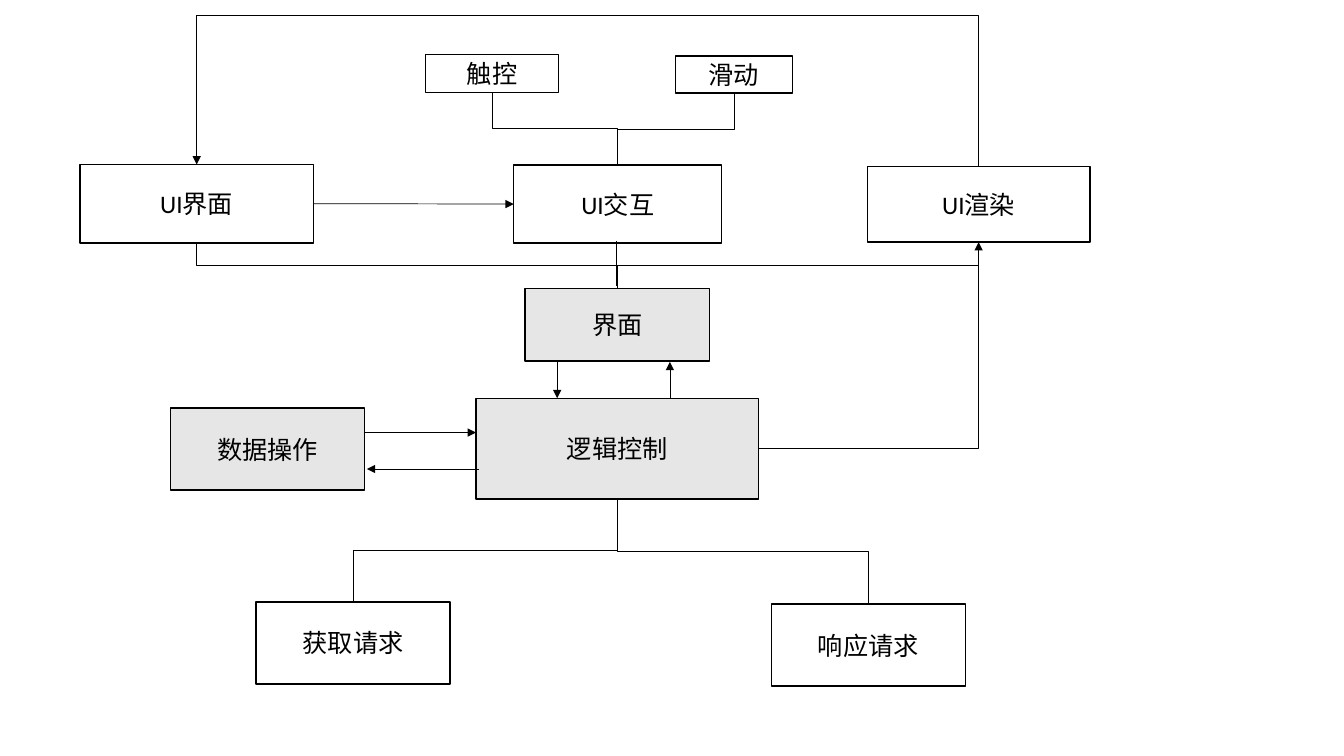
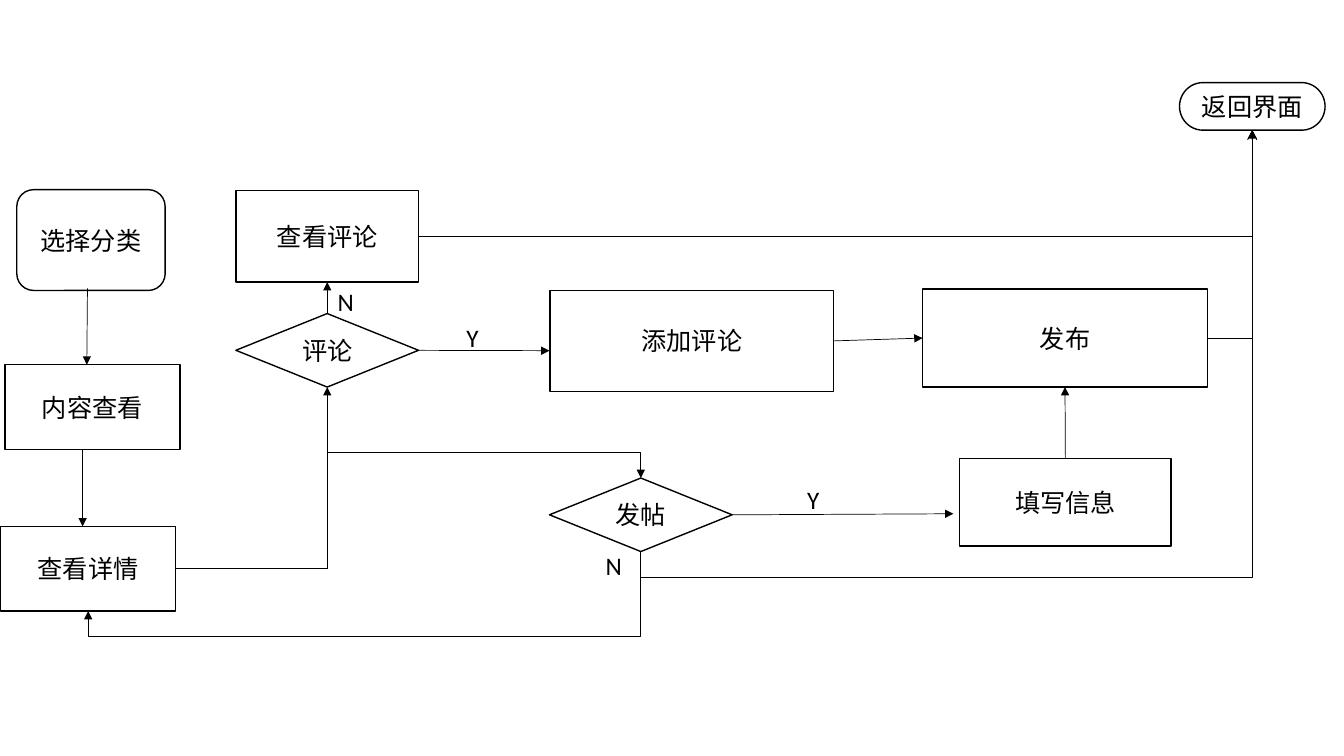
import lxml.etree
import pptx
import pptx.dml.color
import pptx.enum.shapes
import pptx.enum.text
import pptx.oxml.ns
import pptx.util

Pt = pptx.util.Pt
qn = pptx.oxml.ns.qn
SHAPES = pptx.enum.shapes.MSO_SHAPE
CONNECTORS = pptx.enum.shapes.MSO_CONNECTOR
ALIGN = pptx.enum.text.PP_ALIGN
BLACK, WHITE, GRAY = "000000", "FFFFFF", "E7E6E6"
TOP, LEFT, BOTTOM, RIGHT = range(4)
RECT = SHAPES.RECTANGLE
DECISION = SHAPES.FLOWCHART_DECISION
FONT, FONT_SIZE = "Calibri", 18
MIDWAY = "midway"


def color(value):
    return pptx.dml.color.RGBColor.from_string(value)


def write_text(shape, text, alignment):
    shape.text_frame.text = text
    paragraph = shape.text_frame.paragraphs[0]
    paragraph.alignment = alignment
    font = paragraph.runs[0].font
    font.name, font.size = FONT, Pt(FONT_SIZE)
    font.color.rgb = color(BLACK)


architecture = {
    "nodes": [
        ("UI界面", RECT, WHITE, 57, 117.5, 167, 56),
        ("UI交互", RECT, WHITE, 367, 118, 148.5, 55.5),
        ("UI渲染", RECT, WHITE, 619.5, 119, 159, 54),
        ("触控", RECT, WHITE, 304, 39, 95, 27),
        ("滑动", RECT, WHITE, 482.5, 40, 83.5, 26.5),
        ("界面", RECT, GRAY, 375, 206, 132, 52),
        ("逻辑控制", RECT, GRAY, 340, 284.5, 202, 72),
        ("数据操作", RECT, GRAY, 122, 291.5, 138.5, 58.5),
        ("获取请求", RECT, WHITE, 183, 430, 138.5, 58.5),
        ("响应请求", RECT, WHITE, 551, 431.5, 138.5, 58.5),
    ],
    "straights": [
        (("UI界面", RIGHT), ("UI交互", LEFT), "triangle"),
        ((398, 258.5), (398, 284.5), "triangle"),
        ((478.5, 284.5), (478.5, 258.5), "triangle"),
        ((260, 309), (340, 309), "triangle"),
        ((342, 335), (262, 335), "triangle"),
        ((440.5, 204), (440.5, 172), None),
    ],
    "elbows": [
        (("UI渲染", TOP), ("UI界面", TOP), (11,), "triangle"),
        (("逻辑控制", RIGHT), ("UI渲染", BOTTOM), (), "triangle"),
        (("逻辑控制", BOTTOM), ("响应请求", TOP), (MIDWAY,), None),
        (("逻辑控制", BOTTOM), ("获取请求", TOP), (MIDWAY,), None),
        (("触控", BOTTOM), ("UI交互", TOP), (MIDWAY,), None),
        (("滑动", BOTTOM), ("UI交互", TOP), (MIDWAY,), None),
        (("UI界面", BOTTOM), ("界面", TOP), (MIDWAY,), None),
        (("UI渲染", BOTTOM), ("界面", TOP), (MIDWAY,), None),
    ],
    "labels": [],
}

posting = {
    "nodes": [
        ("选择分类", SHAPES.FLOWCHART_ALTERNATE_PROCESS, None, 12, 135.5, 106, 72),
        ("内容查看", RECT, WHITE, 3.5, 260.5, 125, 60.5),
        ("查看详情", RECT, WHITE, 0.5, 376, 125, 60.5),
        ("查看评论", RECT, WHITE, 168.5, 136, 130.5, 65.5),
        ("评论", DECISION, None, 168.5, 224, 130.5, 52.5),
        ("添加评论", RECT, WHITE, 393, 207.5, 202.5, 72),
        ("发布", RECT, WHITE, 659, 206.5, 203.5, 70),
        ("发帖", DECISION, None, 392.5, 341.5, 130.5, 52.5),
        ("填写信息", RECT, WHITE, 685.5, 327.5, 151, 62.5),
        ("返回界面", SHAPES.FLOWCHART_TERMINATOR, None, 842.5, 59, 104, 34),
    ],
    "straights": [
        ((62.5, 206), (62, 260.5), "triangle"),
        ((59, 321), (59, 376), "triangle"),
        (("评论", TOP), ("查看评论", BOTTOM), "triangle"),
        (("评论", RIGHT), (392.5, 250.5), "triangle"),
        (("添加评论", RIGHT), ("发布", LEFT), "triangle"),
        (("发帖", RIGHT), (681, 367), "triangle"),
        (("填写信息", TOP), ("发布", BOTTOM), "triangle"),
    ],
    "elbows": [
        (("发布", RIGHT), ("返回界面", BOTTOM), (), "arrow"),
        (("查看评论", RIGHT), ("返回界面", BOTTOM), (), "arrow"),
        (("查看详情", RIGHT), ("评论", BOTTOM), (), "triangle"),
        (("查看详情", RIGHT), ("发帖", TOP), (234, 323.5), "triangle"),
        (("发帖", BOTTOM), ("返回界面", BOTTOM), (412,), "triangle"),
        (("发帖", BOTTOM), ("查看详情", BOTTOM), (454.5,), "triangle"),
    ],
    "labels": [
        ("Y", 326, 227, 68.5),
        ("N", 234, 201, 68.5),
        ("Y", 569.5, 342.5, 116),
        ("N", 425.5, 389.5, 116),
    ],
}

presentation = pptx.Presentation()
presentation.slide_width, presentation.slide_height = Pt(960), Pt(540)

for diagram in (architecture, posting):
    slide = presentation.slides.add_slide(presentation.slide_layouts[6])
    nodes = {}
    for text, kind, fill, *box in diagram["nodes"]:
        shape = slide.shapes.add_shape(kind, *map(Pt, box))
        shape.shadow.inherit = False
        if fill:
            shape.fill.solid()
            shape.fill.fore_color.rgb = color(fill)
        else:
            shape.fill.background()
        shape.line.color.rgb = color(BLACK)
        shape.line.width = Pt(1)
        write_text(shape, text, ALIGN.CENTER)
        nodes[text] = shape

    links = [(start, end, None, arrow) for start, end, arrow in diagram["straights"]]
    for start, end, turns, arrow in links + diagram["elbows"]:
        kind = CONNECTORS.STRAIGHT if turns is None else CONNECTORS.ELBOW
        points = [(0, 0) if place[0] in nodes else place for place in (start, end)]
        connector = slide.shapes.add_connector(kind, *map(Pt, points[0] + points[1]))
        if start[0] in nodes:
            connector.begin_connect(nodes[start[0]], start[1])
        if end[0] in nodes:
            connector.end_connect(nodes[end[0]], end[1])
        connector.line.color.rgb = color(BLACK)
        connector.line.width = Pt(0.5)
        properties = connector._element.spPr
        if arrow:
            outline = properties.find(qn("a:ln"))
            lxml.etree.SubElement(outline, qn("a:tailEnd"), type=arrow)
        lxml.etree.SubElement(properties, qn("a:effectLst"))
        if turns is None:
            continue

        begin_x, begin_y = connector.begin_x, connector.begin_y
        across, down = connector.end_x - begin_x, connector.end_y - begin_y
        geometry = properties.find(qn("a:prstGeom"))
        geometry.set("prst", f"bentConnector{len(turns) + 2}")
        ratios = []
        if len(turns) == 1:
            frame = properties.find(qn("a:xfrm"))
            frame.set("rot", "5400000")
            frame.set("flipH", str(int(down < 0)))
            frame.set("flipV", str(int(across > 0)))
            connector.width, connector.height = abs(down), abs(across)
            connector.left = begin_x + (across - abs(down)) // 2
            connector.top = begin_y + (down - abs(across)) // 2
            turn = turns[0]
            ratios = [0.5 if turn == MIDWAY else (Pt(turn) - begin_y) / down]
        elif len(turns) == 2:
            ratios = [(Pt(turns[0]) - begin_x) / across, (Pt(turns[1]) - begin_y) / down]
        guides = geometry.find(qn("a:avLst"))
        for number, ratio in enumerate(ratios, 1):
            lxml.etree.SubElement(
                guides, qn("a:gd"), name=f"adj{number}", fmla=f"val {round(ratio * 100000)}"
            )

    for text, left, top, width in diagram["labels"]:
        label = slide.shapes.add_textbox(Pt(left), Pt(top), Pt(width), Pt(29))
        label.text_frame.word_wrap = True
        write_text(label, text, ALIGN.LEFT)

presentation.save("out.pptx")
